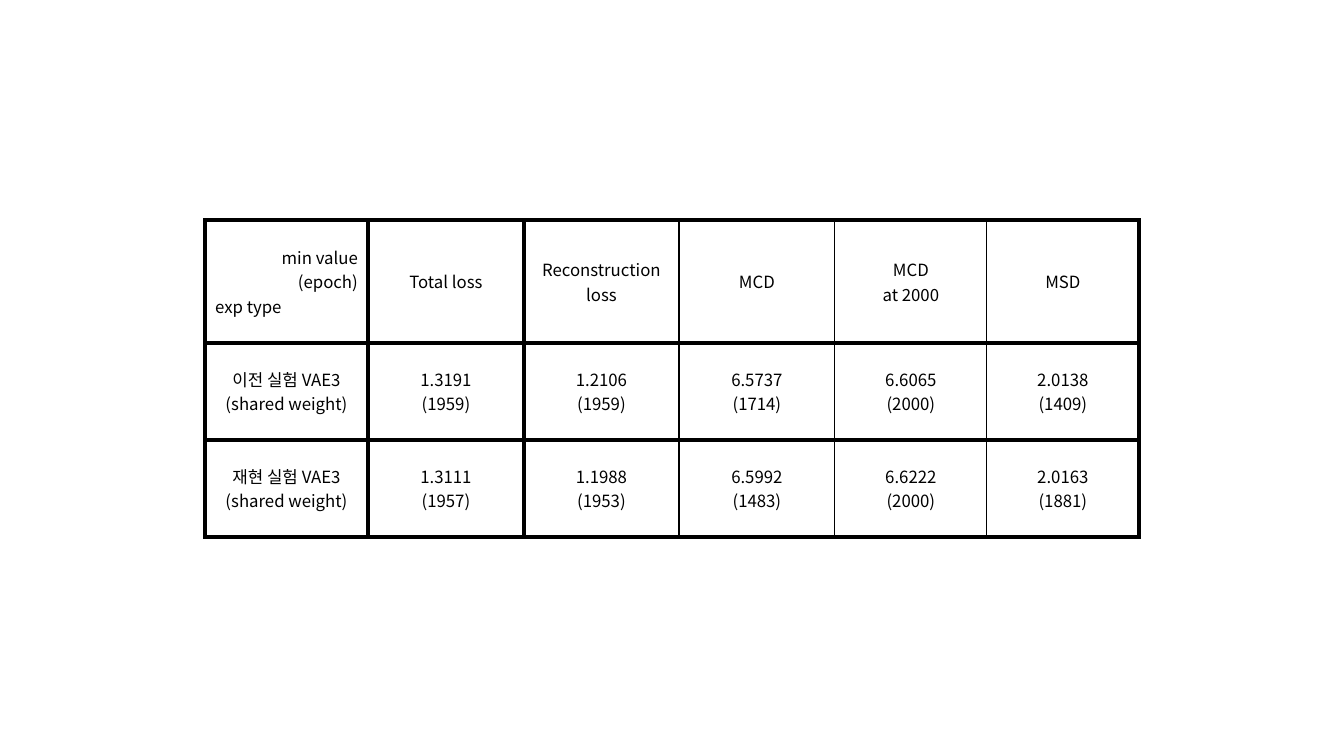
from lxml.etree import SubElement
from pptx import Presentation
from pptx.dml.color import RGBColor
from pptx.enum.text import MSO_ANCHOR, PP_ALIGN
from pptx.oxml.ns import qn
from pptx.util import Emu, Pt

PX = 12192000 / 1344
FONT = "Noto Sans CJK KR"
BLACK = "000000"
THICK, THIN = 3, 1

COLUMN_WIDTHS = [163, 156, 155, 156, 152, 152]
ROW_HEIGHTS = [123, 97, 97]
RESULTS = [
    ["min value\n(epoch)\nexp type", "Total loss", "Reconstruction\nloss",
     "MCD", "MCD\nat 2000", "MSD"],
    ["이전 실험 VAE3\n(shared weight)", "1.3191\n(1959)", "1.2106\n(1959)",
     "6.5737\n(1714)", "6.6065\n(2000)", "2.0138\n(1409)"],
    ["재현 실험 VAE3\n(shared weight)", "1.3111\n(1957)", "1.1988\n(1953)",
     "6.5992\n(1483)", "6.6222\n(2000)", "2.0163\n(1881)"],
]


def px(length):
    return Emu(round(length * PX))


def color(hex_string):
    return RGBColor.from_string(hex_string)


def write_text(cell, text, *, alignments, size=12, text_color=BLACK):
    """Write one paragraph per line; the last alignment serves any further lines."""
    cell.text = text
    cell.vertical_anchor = MSO_ANCHOR.MIDDLE
    for index, paragraph in enumerate(cell.text_frame.paragraphs):
        paragraph.alignment = alignments[min(index, len(alignments) - 1)]
        for run in paragraph.runs:
            run.font.size = Pt(size)
            run.font.bold = False
            run.font.name = FONT
            run.font.color.rgb = color(text_color)
            SubElement(run.font._element, qn("a:ea"), typeface=FONT)


def set_borders(cell, **widths):
    """Draw the borders L, R, T and B, with widths in points."""
    properties = cell._tc.get_or_add_tcPr()
    for side, width in widths.items():
        line = SubElement(properties, qn(f"a:ln{side}"), w=str(Pt(width)))
        fill = SubElement(line, qn("a:solidFill"))
        SubElement(fill, qn("a:srgbClr"), val=BLACK)


def add_results_table(slide, left, top):
    table = slide.shapes.add_table(
        len(ROW_HEIGHTS), len(COLUMN_WIDTHS), px(left), px(top),
        px(sum(COLUMN_WIDTHS)), px(sum(ROW_HEIGHTS))).table
    table.first_row = False
    table.horz_banding = False
    for column, width in zip(table.columns, COLUMN_WIDTHS):
        column.width = px(width)
    for row, height in zip(table.rows, ROW_HEIGHTS):
        row.height = px(height)

    thick_edges = {0, 1, 2, len(COLUMN_WIDTHS)}
    for row_index, texts in enumerate(RESULTS):
        for column_index, text in enumerate(texts):
            cell = table.cell(row_index, column_index)
            is_corner = row_index == column_index == 0
            write_text(cell, text, alignments=(
                [PP_ALIGN.RIGHT, PP_ALIGN.RIGHT, PP_ALIGN.LEFT]
                if is_corner else [PP_ALIGN.CENTER]))
            set_borders(
                cell,
                L=THICK if column_index in thick_edges else THIN,
                R=THICK if column_index + 1 in thick_edges else THIN,
                T=THICK, B=THICK)
            cell.fill.background()


def main():
    presentation = Presentation()
    presentation.slide_width = px(1344)
    presentation.slide_height = px(756)
    slide = presentation.slides.add_slide(presentation.slide_layouts[6])
    add_results_table(slide, left=205, top=220)
    presentation.save("out.pptx")


if __name__ == "__main__":
    main()
